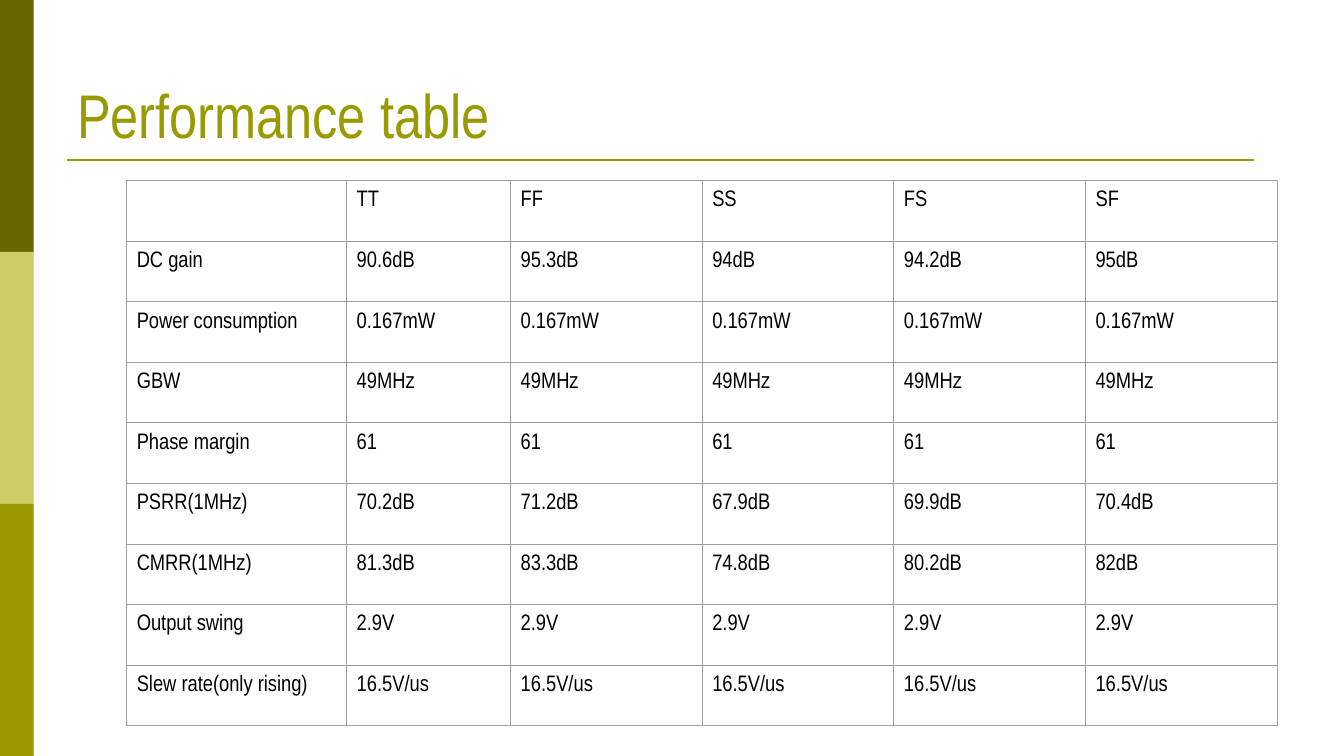
from lxml.etree import SubElement
from pptx import Presentation
from pptx.dml.color import RGBColor
from pptx.enum.shapes import MSO_CONNECTOR, MSO_SHAPE
from pptx.enum.text import MSO_ANCHOR
from pptx.oxml.ns import qn
from pptx.util import Pt

FONT = "Arial Narrow"
OLIVE = "999900"
COLUMN_WIDTHS = [157.1, 117.1] + [136.9] * 4
ROW_HEIGHT = 43.27
ROWS = [
    ["", "TT", "FF", "SS", "FS", "SF"],
    ["DC gain", "90.6dB", "95.3dB", "94dB", "94.2dB", "95dB"],
    ["Power consumption"] + ["0.167mW"] * 5,
    ["GBW"] + ["49MHz"] * 5,
    ["Phase margin"] + ["61"] * 5,
    ["PSRR(1MHz)", "70.2dB", "71.2dB", "67.9dB", "69.9dB", "70.4dB"],
    ["CMRR(1MHz)", "81.3dB", "83.3dB", "74.8dB", "80.2dB", "82dB"],
    ["Output swing"] + ["2.9V"] * 5,
    ["Slew rate(only rising)"] + ["16.5V/us"] * 5,
]


def rgb(color):
    return RGBColor.from_string(color)


def write(tf, text, size=16, color="000000", space_before=None):
    p = tf.paragraphs[0]
    if space_before is not None:
        p.space_before = Pt(space_before)
    r = p.add_run()
    r.text = text
    r.font.name = FONT
    r.font.size = Pt(size)
    r.font.color.rgb = rgb(color)


def add_side_bar(s, x, y, w, h):
    colors = ["666600", "CCCC66", OLIVE]
    band_h = h / len(colors)
    for i, color in enumerate(colors):
        sp = s.shapes.add_shape(MSO_SHAPE.RECTANGLE, Pt(x), Pt(y + i * band_h),
                                Pt(w), Pt(band_h))
        sp.shadow.inherit = False
        sp.fill.solid()
        sp.fill.fore_color.rgb = rgb(color)
        sp.line.fill.background()


def add_title(s, text, x, y, w, h):
    # Heading, resting on the bottom of its box
    sp = s.shapes.add_textbox(Pt(x), Pt(y), Pt(w), Pt(h))
    tf = sp.text_frame
    tf.word_wrap = True
    tf.vertical_anchor = MSO_ANCHOR.BOTTOM
    write(tf, text, size=44, color=OLIVE)

    # Rule below the heading
    rule_y = Pt(y + h + 2.4)
    rule = s.shapes.add_connector(MSO_CONNECTOR.STRAIGHT, Pt(x), rule_y,
                                  Pt(x + w - 16.5), rule_y)
    rule.line.color.rgb = rgb(OLIVE)
    rule.line.width = Pt(1.5)
    SubElement(rule._element.spPr, qn("a:effectLst"))


def set_borders(cell, color, width):
    tcPr = cell._tc.get_or_add_tcPr()
    for side in ("a:lnL", "a:lnR", "a:lnT", "a:lnB"):
        ln = SubElement(tcPr, qn(side), w=str(Pt(width)))
        fill = SubElement(ln, qn("a:solidFill"))
        SubElement(fill, qn("a:srgbClr"), val=color)


def add_performance_table(s, x, y):
    table = s.shapes.add_table(len(ROWS), len(COLUMN_WIDTHS), Pt(x), Pt(y),
                               Pt(sum(COLUMN_WIDTHS)),
                               Pt(ROW_HEIGHT * len(ROWS))).table
    table.first_row = False
    table.horz_banding = False
    for column, width in zip(table.columns, COLUMN_WIDTHS):
        column.width = Pt(width)
    for i, values in enumerate(ROWS):
        table.rows[i].height = Pt(ROW_HEIGHT)
        for j, value in enumerate(values):
            cell = table.cell(i, j)
            cell.margin_left = cell.margin_right = Pt(7.2)
            cell.margin_top = cell.margin_bottom = Pt(7.2)
            set_borders(cell, "9E9E9E", 0.75)
            cell.fill.background()
            if value:
                write(cell.text_frame, value,
                      space_before=6.4 if j == 0 else None)


def main():
    prs = Presentation()
    prs.slide_width, prs.slide_height = Pt(960), Pt(540)
    s = prs.slides.add_slide(prs.slide_layouts[6])
    add_side_bar(s, 0, 0, 24, 540)
    add_title(s, "Performance table", 48, 21.6, 864, 90)
    add_performance_table(s, 90.5, 129)
    prs.save("out.pptx")


if __name__ == "__main__":
    main()
